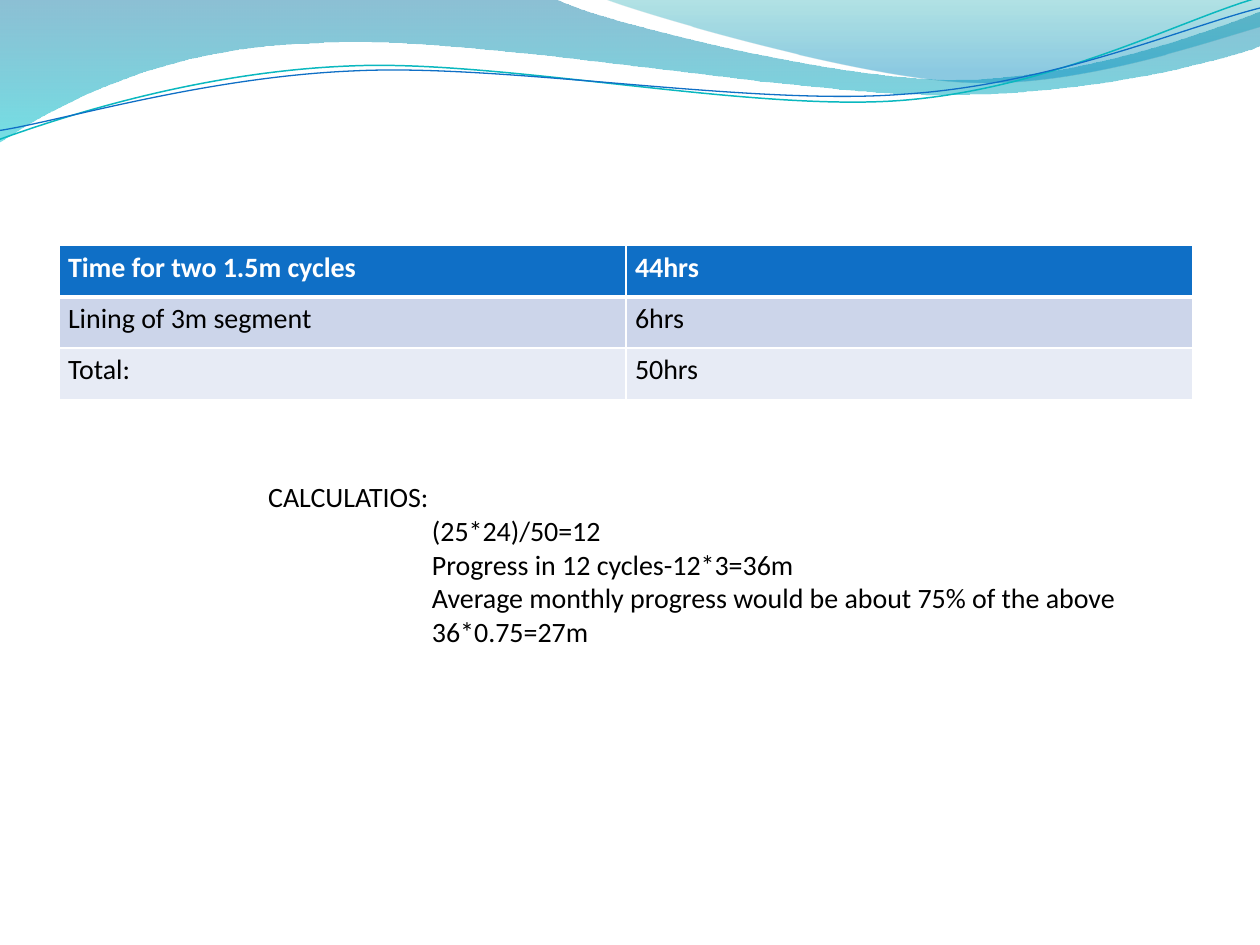
from lxml import etree
from pptx import Presentation
from pptx.dml.color import RGBColor
from pptx.enum.text import MSO_ANCHOR, MSO_AUTO_SIZE, PP_ALIGN
from pptx.oxml.ns import qn
from pptx.util import Inches, Pt

MIDDLE = MSO_ANCHOR.MIDDLE
GROW = MSO_AUTO_SIZE.SHAPE_TO_FIT_TEXT
JUSTIFY = PP_ALIGN.JUSTIFY
FONT, SIZE = "Calibri", 16
TILT = -2.7

COLORS = {
    "white": "FFFFFF", "black": "000000", "blue": "0F6FC6", "teal": "0AB8BF",
    "band": "CCD5EA", "pale": "E7EBF5",
    "deep": "0074A1", "cyan": "00C6CF", "sea": "00A1A9", "sky": "008BBF",
}

# Each outline is a start point, then line ends (x, y) or cubic curves (six numbers).
# Each gradient stop is position, color, opacity in percent.
WAVES = [
    {"start": (0, 0),
     "parts": [(4.4, -0.01), (4.76, 0.17, 6.64, 0.63, 7.58, 0.63),
               (8.53, 0.63, 9.58, 0.26, 10, 0.09), (10.01, 0.36),
               (9.83, 0.44, 8.7, 0.76, 7.46, 0.75),
               (6.22, 0.75, 3.82, 0.28, 2.57, 0.34),
               (1.29, 0.36, 0.46, 0.83, -0.01, 1.13), (0, 0)],
     "stops": [(0, "deep", 45), (1, "cyan", 55)]},
    {"start": (4.79, -0.01),
     "parts": [(5.09, 0.11, 6.82, 0.62, 7.69, 0.65),
               (8.56, 0.69, 9.61, 0.32, 10, 0.21), (10, 0), (4.79, -0.01)],
     "stops": [(0, "sea", 30), (0.8, "sky", 45)]},
]
STRANDS = [
    {"start": (-0.02, 0.87),
     "parts": [(0.47, 0.72, 1.58, 0.41, 2.78, 0.42),
               (3.96, 0.42, 5.91, 0.93, 7.12, 0.9),
               (8.32, 0.87, 9.4, 0.36, 10, 0.22)],
     "color": "teal", "width": 0.85},
    {"start": (-0.02, 0.8),
     "parts": [(0.46, 0.75, 1.64, 0.45, 2.83, 0.46),
               (4.03, 0.46, 5.96, 0.89, 7.16, 0.85),
               (8.35, 0.83, 9.42, 0.42, 10.02, 0.3)],
     "color": "blue", "width": 0.75},
]
TIMES = [
    ("Time for two 1.5m cycles", "44hrs"),
    ("Lining of 3m segment", "6hrs"),
    ("Total:", "50hrs"),
]
ROW_FILLS = ["blue", "band", "pale"]
HEAD_EDGES = {"L": 1, "R": 1, "T": 1, "B": 3}
SUMS_TITLE = "CALCULATIOS:"
SUMS = [
    "(25*24)/50=12",
    "Progress in 12 cycles-12*3=36m",
    "Average monthly progress would be about 75% of the above",
    "36*0.75=27m",
]


def rgb(name):
    return RGBColor.from_string(COLORS[name])


def set_font(para, color, bold=False):
    para.alignment = JUSTIFY
    font = para.font
    font.name, font.size, font.bold = FONT, Pt(SIZE), bold
    font.color.rgb = rgb(color)


def add_free(slide, item, close):
    """Draw an outline through all its points, then bend the curved parts."""
    pen = slide.shapes.build_freeform(*map(Inches, item["start"]))
    for part in item["parts"]:
        pairs = zip(part[::2], part[1::2])
        pen.add_line_segments([(Inches(x), Inches(y)) for x, y in pairs], close=False)
    shape = pen.convert_to_shape()
    shape.shadow.inherit = False
    outline = next(shape._element.iter(qn("a:path")))
    lines = iter(outline.findall(qn("a:lnTo")))
    for part in item["parts"]:
        group = [next(lines) for _ in part[::2]]
        if len(group) == 3:
            curve = etree.Element(qn("a:cubicBezTo"))
            group[0].addprevious(curve)
            for line in group:
                curve.append(line[0])
                outline.remove(line)
    if close:
        etree.SubElement(outline, qn("a:close"))
    return shape


def add_wave(slide, wave):
    shape = add_free(slide, wave, True)
    shape.line.fill.background()
    shape.fill.gradient()
    shape.fill.gradient_angle = 270
    for stop, (place, color, _) in zip(shape.fill.gradient_stops, wave["stops"]):
        stop.position = place
        stop.color.rgb = rgb(color)
    tints = shape._element.spPr.iter(qn("a:srgbClr"))
    for tint, (_, _, alpha) in zip(tints, wave["stops"]):
        etree.SubElement(tint, qn("a:alpha"), val=str(alpha * 1000))


def add_strand(slide, strand):
    shape = add_free(slide, strand, False)
    shape.rotation = TILT
    shape.fill.background()
    shape.line.color.rgb = rgb(strand["color"])
    shape.line.width = Pt(strand["width"])


def set_edges(cell, widths):
    props = cell._tc.get_or_add_tcPr()
    for side, width in widths.items():
        edge = etree.SubElement(props, qn("a:ln" + side), w=str(Pt(width)))
        fill = etree.SubElement(edge, qn("a:solidFill"))
        etree.SubElement(fill, qn("a:srgbClr"), val=COLORS["white"])


def add_times(slide):
    rows, cols = len(TIMES), len(TIMES[0])
    table = slide.shapes.add_table(rows, cols, Inches(0.47), Inches(1.95),
                                   Inches(9), Inches(1.22)).table
    for r, texts in enumerate(TIMES):
        head = r == 0
        for c, text in enumerate(texts):
            cell = table.cell(r, c)
            if head:
                set_edges(cell, HEAD_EDGES)
            cell.fill.solid()
            cell.fill.fore_color.rgb = rgb(ROW_FILLS[r])
            cell.margin_left = cell.margin_right = Inches(0.07)
            cell.margin_top = cell.margin_bottom = 0
            para = cell.text_frame.paragraphs[0]
            para.text = text
            para.line_spacing = 1.15
            set_font(para, "white" if head else "black", head)


def add_sums(slide):
    frame = slide.shapes.add_textbox(Inches(2.03), Inches(3.75),
                                     Inches(7.02), Inches(1.45)).text_frame
    frame.word_wrap = True
    frame.auto_size = GROW
    frame.vertical_anchor = MIDDLE
    frame.text = "\n".join([SUMS_TITLE] + SUMS)
    for i, para in enumerate(frame.paragraphs):
        if i:
            para._p.get_or_add_pPr().set("marL", str(Inches(1.3)))
        set_font(para, "black")


def main():
    deck = Presentation()
    deck.slide_width, deck.slide_height = Inches(10), Inches(7.5)
    slide = deck.slides.add_slide(deck.slide_layouts[6])
    for wave in WAVES:
        add_wave(slide, wave)
    for strand in STRANDS:
        add_strand(slide, strand)
    add_times(slide)
    add_sums(slide)
    deck.save("out.pptx")


if __name__ == "__main__":
    main()
